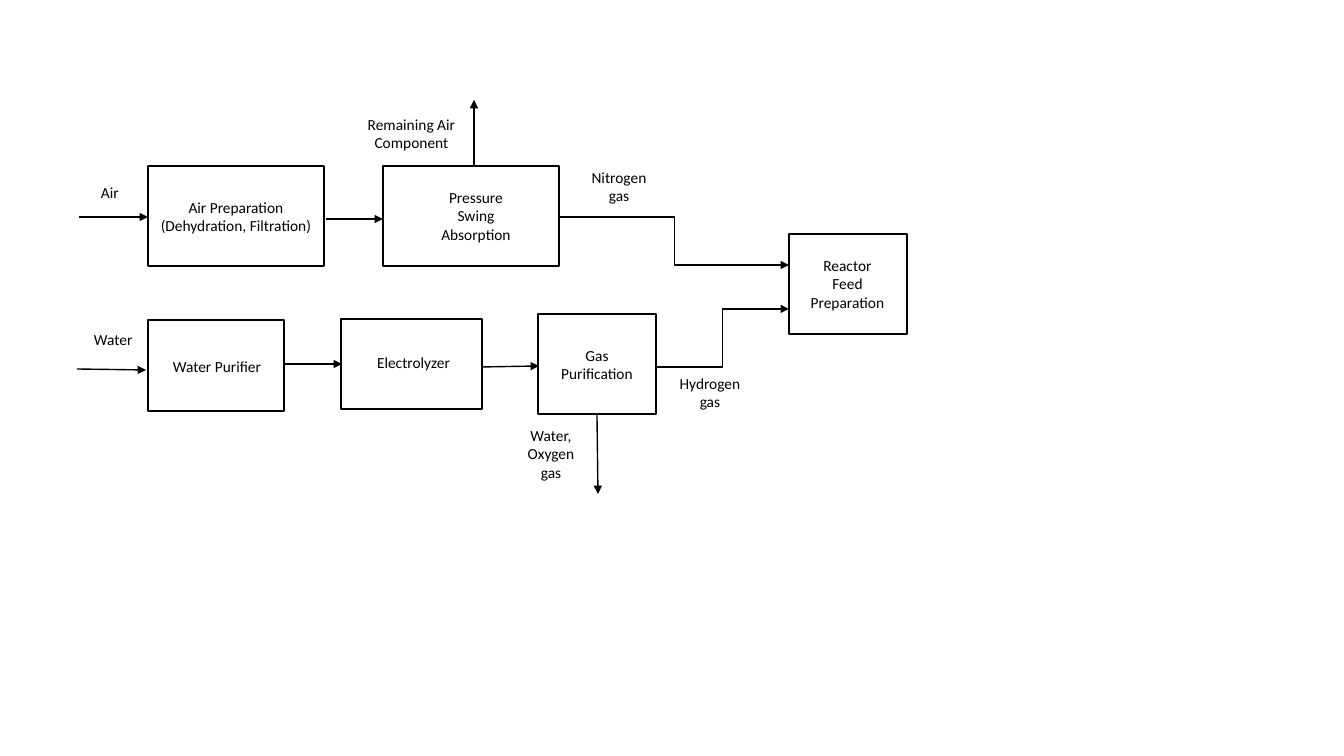
from lxml import etree
from pptx import Presentation
from pptx.dml.color import RGBColor
from pptx.enum.shapes import MSO_CONNECTOR, MSO_SHAPE
from pptx.enum.text import MSO_AUTO_SIZE, PP_ALIGN
from pptx.oxml.ns import qn
from pptx.util import Pt

EMU_PER_PX = 914400 / 100.8
BLACK = RGBColor(0x00, 0x00, 0x00)
RECT = MSO_SHAPE.RECTANGLE
STRAIGHT, ELBOW = MSO_CONNECTOR.STRAIGHT, MSO_CONNECTOR.ELBOW
LEFT, CENTER = PP_ALIGN.LEFT, PP_ALIGN.CENTER
GROW = MSO_AUTO_SIZE.SHAPE_TO_FIT_TEXT


def px(*lengths):
    return [round(n * EMU_PER_PX) for n in lengths]


class FlowDiagram:
    font, size, color, line_width = "Calibri", Pt(11), BLACK, Pt(1)

    def __init__(self, slide):
        self.shapes = slide.shapes

    def outline(self, line):
        line.color.rgb = self.color
        line.width = self.line_width

    def box(self, x, y, w, h):
        sp = self.shapes.add_shape(RECT, *px(x, y, w, h))
        sp.shadow.inherit = False
        sp.fill.background()
        self.outline(sp.line)

    def label(self, text, x, y, w, h, align=CENTER):
        tf = self.shapes.add_textbox(*px(x, y, w, h)).text_frame
        tf.word_wrap = True
        tf.auto_size = GROW
        tf.text = text
        for p in tf.paragraphs:
            p.alignment = align
            p.font.name, p.font.size = self.font, self.size
            p.font.color.rgb = self.color

    def arrow(self, x1, y1, x2, y2, kind=STRAIGHT):
        cxn = self.shapes.add_connector(kind, *px(x1, y1, x2, y2))
        self.outline(cxn.line)
        ln = cxn.line._get_or_add_ln()
        etree.SubElement(ln, qn("a:tailEnd"), type="triangle")
        etree.SubElement(cxn._element.spPr, qn("a:effectLst"))


prs = Presentation()
prs.slide_width, prs.slide_height = px(1344, 756)
diagram = FlowDiagram(prs.slides.add_slide(prs.slide_layouts[6]))

# Process units: box, then its name and the area the name fills
UNITS = [
    ((148, 166, 176, 100), "Air Preparation\n(Dehydration, Filtration)", (148, 193, 176, 47)),
    ((383, 166, 176, 100), "Pressure\nSwing\nAbsorption", (388, 183, 176, 67)),
    ((148, 320, 136, 91), "Water Purifier", (129, 352, 176, 29)),
    ((341, 319, 141, 90), "Electrolyzer", (364, 348, 99, 29)),
    ((538, 314, 118, 100), "Gas Purification", (544, 341, 106, 47)),
    ((789, 234, 118, 100), "Reactor Feed\nPreparation", (797, 251, 101, 67)),
]
for frame, name, area in UNITS:
    diagram.box(*frame)
    diagram.label(name, *area)

# Stream names
diagram.label("Air", 91, 178, 45, 29, LEFT)
diagram.label("Water", 84, 325, 66, 29, LEFT)
diagram.label("Remaining\u00a0Air Component", 355, 110, 113, 47)
diagram.label("Nitrogen gas", 581, 163, 76, 47)
diagram.label("Hydrogen gas", 661, 369, 98, 47)
diagram.label("Water,\nOxygen gas", 507, 421, 88, 67)

# Air line
diagram.arrow(79, 217, 148, 217)
diagram.arrow(326, 219, 383, 219)
diagram.arrow(474, 167, 474, 100)

# Water line
diagram.arrow(77, 369, 146, 370)
diagram.arrow(283, 364, 342, 364)
diagram.arrow(482, 367, 539, 366)
diagram.arrow(597, 415, 598, 494)

# Feeds to the reactor
diagram.arrow(560, 217, 789, 265, ELBOW)
diagram.arrow(656, 367, 789, 309, ELBOW)

prs.save("out.pptx")
